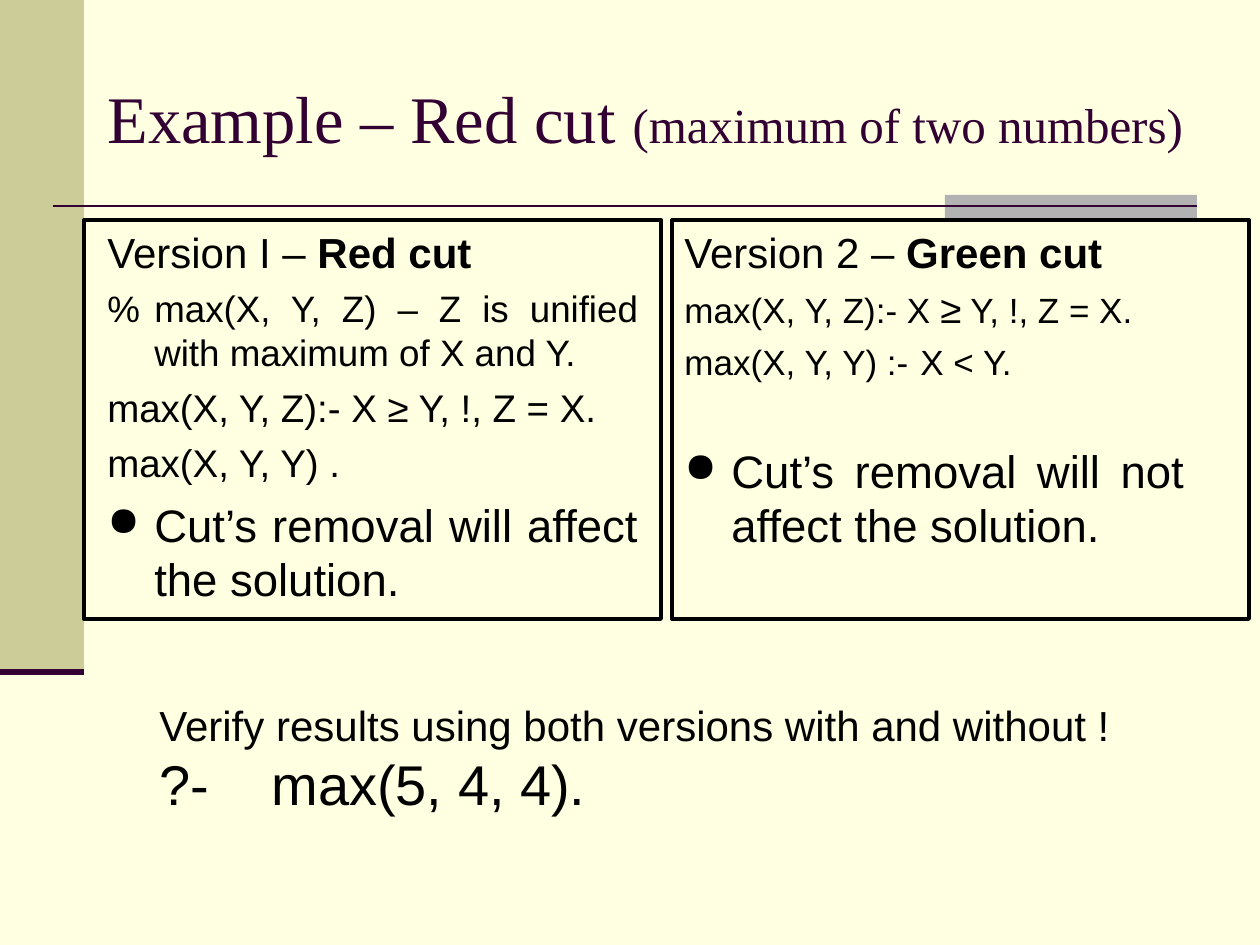
from dataclasses import dataclass

import pptx
import pptx.dml.color
import pptx.enum.shapes
import pptx.enum.text
import pptx.oxml
import pptx.oxml.ns
import pptx.util

PX = 914400 / 126
ALIGN = pptx.enum.text.PP_ALIGN
HANG = 47


@dataclass(frozen=True)
class Theme:
    paper: str = "FFFFE1"
    olive: str = "CCCC99"
    grey: str = "B2B2B2"
    plum: str = "330033"
    ink: str = "000000"
    title_font: str = "Times New Roman"
    body_font: str = "Arial"
    title: int = 38
    query: int = 32
    subtitle: int = 28
    remark: int = 26
    heading: int = 24
    code: int = 22
    comment: int = 21
    small_code: int = 20


THEME = Theme()


def px(length):
    return pptx.util.Emu(round(length * PX))


def color(value):
    return pptx.dml.color.RGBColor.from_string(value)


def add_rectangle(page, box, fill=None, outline=None, width=2.25):
    shape = page.shapes.add_shape(
        pptx.enum.shapes.MSO_SHAPE.RECTANGLE, *map(px, box))
    shape.shadow.inherit = False
    if fill:
        shape.fill.solid()
        shape.fill.fore_color.rgb = color(fill)
    else:
        shape.fill.background()
    if outline:
        shape.line.color.rgb = color(outline)
        shape.line.width = pptx.util.Pt(width)
    else:
        shape.line.fill.background()


def add_rule(page, left, right, top, width):
    rule = page.shapes.add_connector(
        pptx.enum.shapes.MSO_CONNECTOR.STRAIGHT, px(left), px(top), px(right), px(top))
    rule.line.color.rgb = color(THEME.plum)
    rule.line.width = pptx.util.Pt(width)
    pptx.oxml.ns  # namespace helpers used below
    rule._element.spPr.append(element("<a:effectLst {ns}/>"))


def element(markup):
    """Parse drawing markup whose {ns} stands for the namespace declaration."""
    return pptx.oxml.parse_xml(markup.replace("{ns}", pptx.oxml.ns.nsdecls("a")))


def add_span(para, text, size, bold=False, font=THEME.body_font, ink=THEME.ink):
    span = para.add_run()
    span.text = text
    span.font.name = font
    span.font.size = pptx.util.Pt(size)
    span.font.bold = bold
    span.font.color.rgb = color(ink)


def format_para(para, hang=0, bullet=False, tab=None):
    properties = para._p.get_or_add_pPr()
    if hang:
        properties.set("marL", str(px(hang)))
        properties.set("indent", str(px(-hang)))
    if bullet:
        properties.append(element('<a:buSzPct {ns} val="90000"/>'))
        properties.append(element('<a:buChar {ns} char="●"/>'))
    if tab:
        properties.append(element(
            f'<a:tabLst {{ns}}><a:tab pos="{px(tab)}" algn="l"/></a:tabLst>'))


def add_text(page, box, paras, hang=0, align=ALIGN.LEFT):
    """Each para is (space before, options, spans); a span is (text, size[, bold])."""
    frame = page.shapes.add_textbox(*map(px, box)).text_frame
    frame.word_wrap = True
    for index, (space, options, spans) in enumerate(paras):
        para = frame.add_paragraph() if index else frame.paragraphs[0]
        format_para(para, hang, **options)
        para.alignment = align
        if index and space:
            para.space_before = pptx.util.Pt(space)
        for span in spans:
            add_span(para, *span)


def add_backdrop(page, box):
    left, top, width, height = box
    page.background.fill.solid()
    page.background.fill.fore_color.rgb = color(THEME.paper)
    band_width, band_height = 84, 672
    add_rectangle(page, (left, top, band_width, band_height), THEME.olive)
    add_rectangle(page, (left + width - 315, top + 195, 252, 25), THEME.grey)
    add_rule(page, left + 53, left + width - 63, top + 206, 1.5)
    add_rule(page, left, left + band_width, top + band_height, 3.5)


def add_title(page, box):
    title = page.shapes.title
    title.left, title.top, title.width, title.height = map(px, box)
    frame = title.text_frame
    frame.auto_size = pptx.enum.text.MSO_AUTO_SIZE.NONE
    frame.vertical_anchor = pptx.enum.text.MSO_ANCHOR.MIDDLE
    para = frame.paragraphs[0]
    para.alignment = ALIGN.LEFT
    for text, size in (("Example – Red cut ", THEME.title),
                       ("(maximum of two numbers)", THEME.subtitle)):
        add_span(para, text, size, font=THEME.title_font, ink=THEME.plum)


def add_version(page, box, text_left, text_width, paras):
    """Framed panel; the text column starts text_left inside the frame."""
    left, top, width, height = box
    add_text(page, (left + text_left, top, text_width, height), paras,
             HANG, ALIGN.JUSTIFY)
    add_rectangle(page, box, outline=THEME.ink)


def add_query(page, box):
    add_text(page, box, [
        (0, {}, [("Verify results using both versions with and without !", THEME.heading)]),
        (0, {"tab": 112}, [("?-\tmax(5, 4, 4).", THEME.query)]),
    ])


def main():
    deck = pptx.Presentation()
    deck.slide_width, deck.slide_height = px(1260), px(945)
    page = deck.slides.add_slide(deck.slide_layouts[5])

    red_cut = [
        (0, {}, [("Version I – ", THEME.heading), ("Red cut", THEME.heading, True)]),
        (5.2, {}, [("%\tmax(X, Y, Z) – Z is unified with maximum of X and Y.",
                    THEME.comment)]),
        (5.5, {}, [("max(X, Y, Z):- X ≥ Y, !, Z = X.", THEME.code)]),
        (5.5, {}, [("max(X, Y, Y) .", THEME.code)]),
        (6.5, {"bullet": True}, [("Cut’s removal will affect the solution.", THEME.remark)]),
    ]
    green_cut = [
        (0, {}, [("Version 2 – ", THEME.heading), ("Green cut", THEME.heading, True)]),
        (5, {}, [("max(X, Y, Z):- X ", THEME.small_code), ("≥", THEME.code),
                 (" Y, !, Z = X.", THEME.small_code)]),
        (5, {"tab": 252}, [("max(X, Y, Y) :-\tX < Y.", THEME.small_code)]),
        (34.5, {"bullet": True},
         [("Cut’s removal will not affect the solution.", THEME.remark)]),
    ]

    add_backdrop(page, (0, 0, 1260, 945))
    add_title(page, (95, 38, 1124, 157))
    add_version(page, (84, 220, 577, 399), 11, 556, red_cut)
    add_version(page, (672, 220, 577, 399), 0, 525, green_cut)
    add_query(page, (147, 693, 1050, 131))
    deck.save("out.pptx")


if __name__ == "__main__":
    main()
